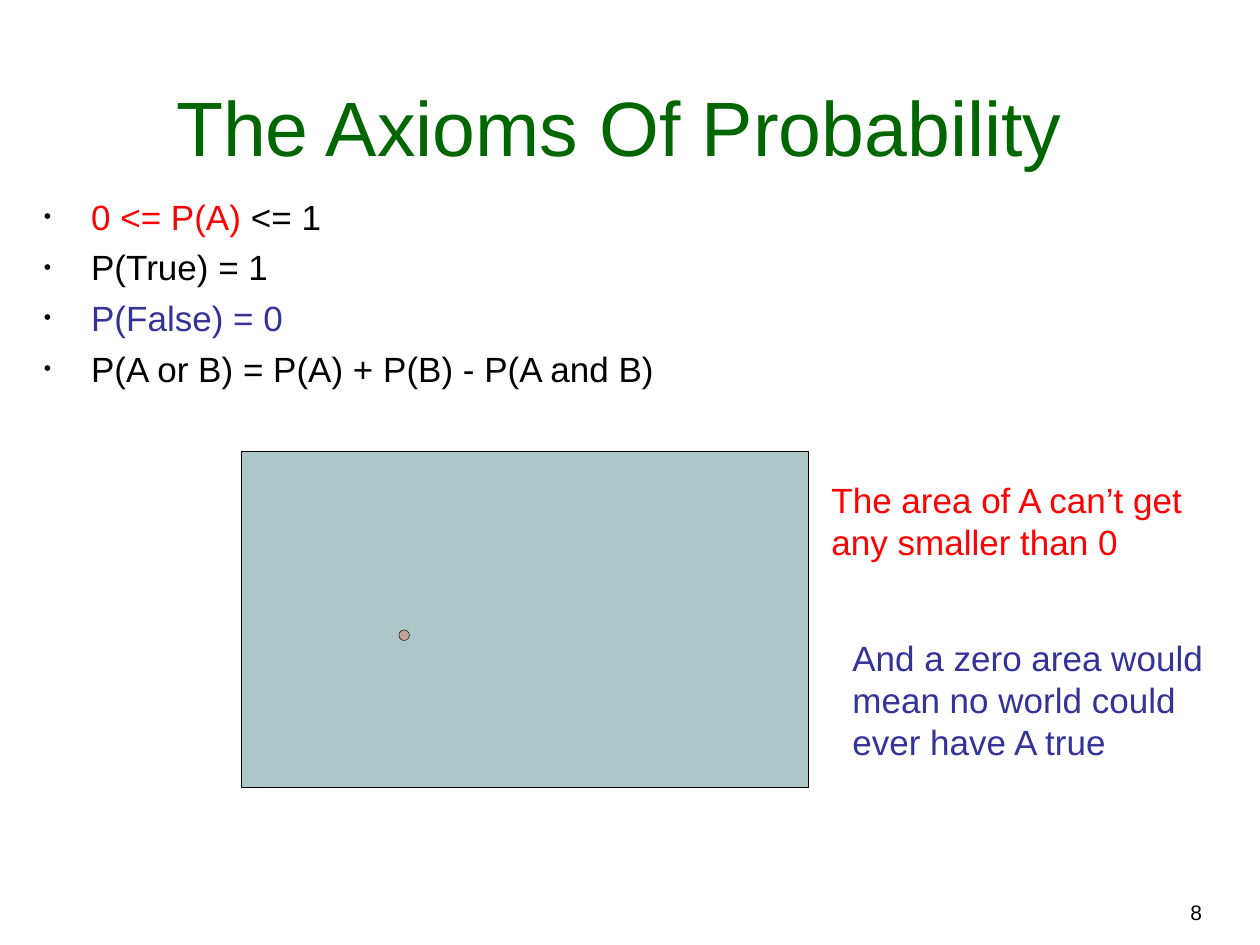
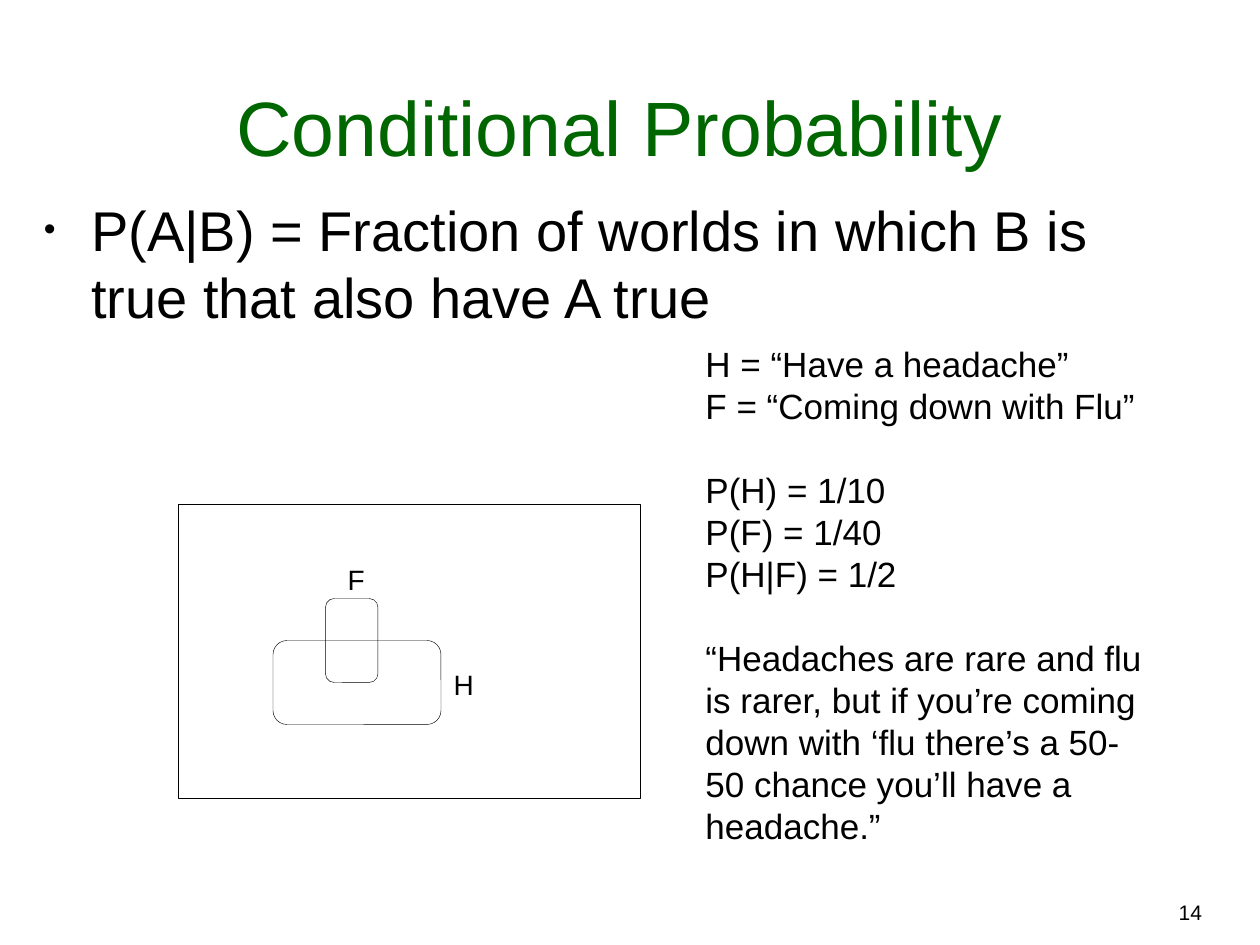
from lxml.etree import SubElement
from pptx import Presentation
from pptx.dml.color import RGBColor
from pptx.enum.shapes import MSO_SHAPE
from pptx.enum.text import MSO_ANCHOR, MSO_AUTO_SIZE, PP_ALIGN
from pptx.oxml.ns import qn
from pptx.util import Pt

FONT = "Arial"
BLACK, RED, BLUE, GREEN = "000000", "FF0000", "333399", "006600"
SAGE, ROSE = "ADC6C7", "C2A398"
LINE_HEIGHT = 1.2
color = RGBColor.from_string


def write_text(box, paragraphs, size, align=PP_ALIGN.LEFT, bullet=False, gap=0):
    """Fill a box; each paragraph is a list of (text, colour) spans."""
    frame = box.text_frame
    frame.word_wrap = True
    frame.auto_size = MSO_AUTO_SIZE.NONE
    for index, spans in enumerate(paragraphs):
        para = frame.paragraphs[0] if index == 0 else frame.add_paragraph()
        if bullet:
            properties = para._p.get_or_add_pPr()
            properties.set("marL", str(Pt(27)))
            properties.set("indent", str(Pt(-27)))
            bullet_color = SubElement(properties, qn("a:buClr"))
            SubElement(bullet_color, qn("a:srgbClr"), val=BLACK)
            SubElement(properties, qn("a:buSzPct"), val="60000")
            SubElement(properties, qn("a:buFont"), typeface=FONT)
            SubElement(properties, qn("a:buChar"), char="•")
        para.alignment = align
        para.line_spacing = Pt(size * LINE_HEIGHT)
        para.space_before = Pt(gap if index else 0)
        for text, shade in spans:
            span = para.add_run()
            span.text = text
            span.font.name = FONT
            span.font.size = Pt(size)
            span.font.color.rgb = color(shade)
    return frame


def add_region(page, kind, left, top, width, height, fill=None):
    """Draw a thinly outlined region of the diagram."""
    region = page.shapes.add_shape(kind, Pt(left), Pt(top), Pt(width), Pt(height))
    region.shadow.inherit = False
    if fill:
        region.fill.solid()
        region.fill.fore_color.rgb = color(fill)
    else:
        region.fill.background()
    region.line.color.rgb = color(BLACK)
    region.line.width = Pt(0.25)
    return region


deck = Presentation()
deck.slide_width, deck.slide_height = Pt(720), Pt(540)

# Shared title and page number
pages = []
for heading, number in (("The Axioms Of Probability", "8"),
                        ("Conditional Probability", "14")):
    page = deck.slides.add_slide(deck.slide_layouts[5])
    title = page.shapes.title
    title.left, title.top, title.width, title.height = Pt(18), Pt(18), Pt(672), Pt(84)
    frame = write_text(title, [[(heading, GREEN)]], 44, PP_ALIGN.CENTER)
    frame.vertical_anchor = MSO_ANCHOR.BOTTOM
    box = page.shapes.add_textbox(Pt(412), Pt(510.5), Pt(282), Pt(21.6))
    write_text(box, [[(number, BLACK)]], 12, PP_ALIGN.RIGHT)
    pages.append(page)
axioms, conditional = pages

# Axioms: bulleted list
box = axioms.shapes.add_textbox(Pt(18), Pt(108), Pt(390), Pt(126))
write_text(box, [
    [("0 <= P(A) ", RED), ("<= 1", BLACK)],
    [("P(True) = 1", BLACK)],
    [("P(False) = 0", BLUE)],
    [("P(A or B) = P(A) + P(B) - P(A and B)", BLACK)],
], 20, bullet=True, gap=5)

# Axioms: all worlds, with a vanishing event A
add_region(axioms, MSO_SHAPE.RECTANGLE, 138, 258, 324, 192, SAGE)
add_region(axioms, MSO_SHAPE.OVAL, 228, 360, 6, 6, ROSE)

# Axioms: remarks beside the diagram
for text, shade, left, top, height in (
        ("The area of A can’t get any smaller than 0", RED, 468, 270, 55.2),
        ("And a zero area would mean no world could ever have A true",
         BLUE, 480, 360, 79.2)):
    box = axioms.shapes.add_textbox(Pt(left), Pt(top), Pt(240), Pt(height))
    write_text(box, [[(text, shade)]], 20)

# Conditional: definition
box = conditional.shapes.add_textbox(Pt(18), Pt(108), Pt(675), Pt(90))
write_text(box, [[("P(A|B) = Fraction of worlds in which B is true "
                   "that also have A true", BLACK)]], 32, bullet=True)

# Conditional: all worlds with overlapping events H and F
add_region(conditional, MSO_SHAPE.RECTANGLE, 102, 288, 264, 168)
for left, top, width, height in ((156, 366, 96, 48), (186, 342, 30, 48)):
    add_region(conditional, MSO_SHAPE.ROUNDED_RECTANGLE, left, top, width, height)
for name, left, top, width in (("F", 191.5, 318, 24), ("H", 252, 378, 26)):
    box = conditional.shapes.add_textbox(Pt(left), Pt(top), Pt(width), Pt(26.4))
    frame = write_text(box, [[(name, BLACK)]], 16, PP_ALIGN.CENTER)
    frame.word_wrap = False

# Conditional: worked example in three groups
box = conditional.shapes.add_textbox(Pt(396), Pt(192), Pt(264), Pt(295.2))
example = [
    "H = “Have a headache”",
    "F = “Coming down with Flu”",
    "P(H) = 1/10",
    "P(F) = 1/40",
    "P(H|F) = 1/2",
    "“Headaches are rare and flu is rarer, but if you’re coming down with "
    "‘flu there’s a 50-50 chance you’ll have a headache.”",
]
frame = write_text(box, [[(line, BLACK)] for line in example], 20)
for group_start in (2, 5):
    frame.paragraphs[group_start].space_before = Pt(20 * LINE_HEIGHT)

deck.save("out.pptx")
